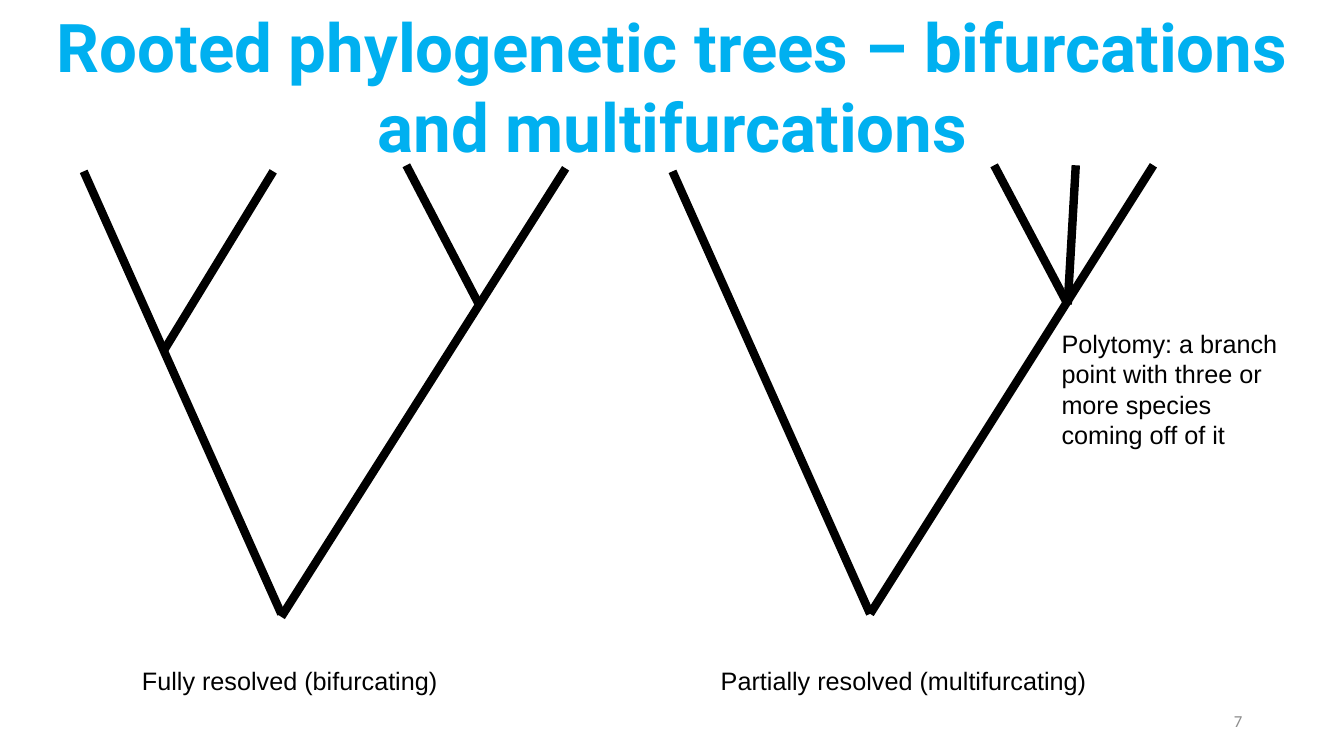
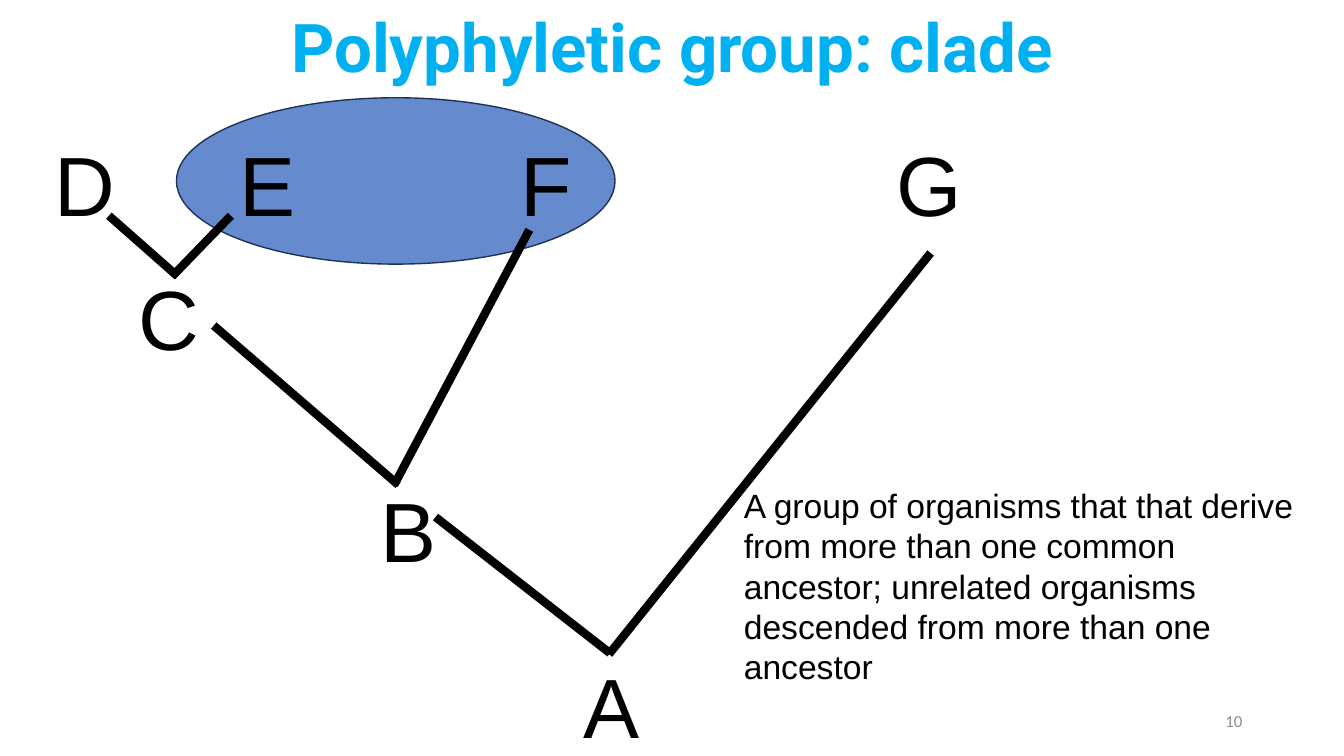
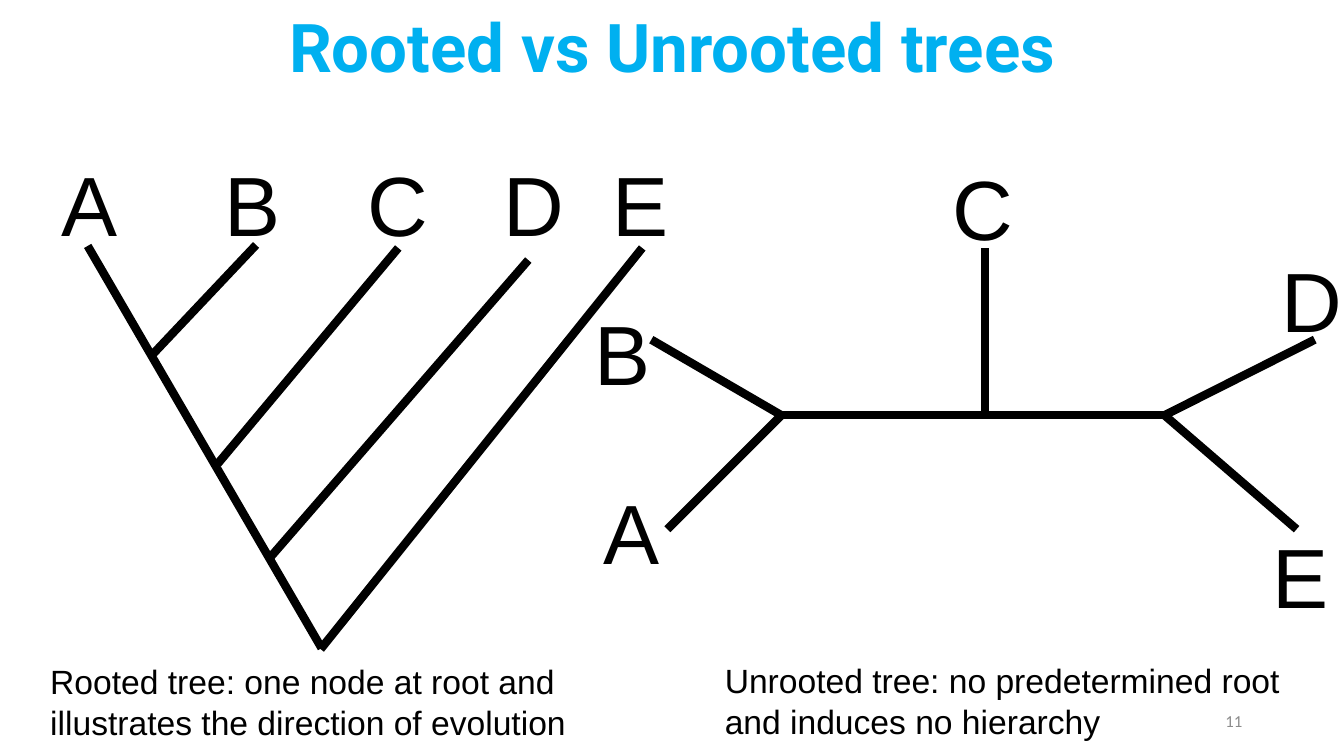
from dataclasses import dataclass
from typing import NamedTuple

from lxml.etree import SubElement
from pptx import Presentation
from pptx.dml.color import RGBColor as RGB
from pptx.enum.shapes import MSO_CONNECTOR as CONN, MSO_SHAPE as SHAPE
from pptx.enum.text import MSO_ANCHOR as ANCHOR, PP_ALIGN as ALIGN
from pptx.oxml.ns import qn
from pptx.util import Inches, Pt


@dataclass(frozen=True)
class Theme:
    title_color: RGB = RGB(0x00, 0xB0, 0xF0)
    ink: RGB = RGB(0, 0, 0)
    number_color: RGB = RGB(0x8C, 0x8C, 0x8C)
    group_fill: RGB = RGB(0x44, 0x72, 0xC4)
    group_line: RGB = RGB(0x1E, 0x32, 0x56)
    group_alpha: int = 82
    title_font: str = "Roboto"
    body_font: str = "Arial"
    number_font: str = "Calibri"
    title_size: int = 48
    letter_size: int = 60
    note_size: int = 24
    caption_size: int = 18
    number_size: int = 12
    branch_width: int = 6


class Branch(NamedTuple):
    x1: float
    y1: float
    x2: float
    y2: float


class Taxon(NamedTuple):
    name: str
    x: float
    y: float


class Note(NamedTuple):
    text: str
    x: float
    y: float
    w: float
    h: float
    size: int


THEME = Theme()


# Drawing helpers
def add_text(s, text: str, x: float, y: float, w: float, h: float, *,
             size: int = THEME.caption_size, font: str = THEME.body_font,
             color: RGB = THEME.ink, bold: bool = False,
             align: ALIGN = ALIGN.LEFT, anchor: ANCHOR = ANCHOR.TOP) -> None:
    tf = s.shapes.add_textbox(Inches(x), Inches(y), Inches(w), Inches(h)).text_frame
    tf.word_wrap = True
    tf.vertical_anchor = anchor
    p = tf.paragraphs[0]
    p.alignment = align
    r = p.add_run()
    r.text = text
    r.font.name, r.font.size, r.font.bold = font, Pt(size), bold
    r.font.color.rgb = color


def add_branch(s, b: Branch) -> None:
    line = s.shapes.add_connector(CONN.STRAIGHT, Inches(b.x1), Inches(b.y1),
                                  Inches(b.x2), Inches(b.y2))
    line.line.color.rgb = THEME.ink
    line.line.width = Pt(THEME.branch_width)
    SubElement(line._element.spPr, qn("a:effectLst"))


def add_group_ellipse(s, x: float, y: float, w: float, h: float) -> None:
    sp = s.shapes.add_shape(SHAPE.OVAL, Inches(x), Inches(y), Inches(w), Inches(h))
    sp.shadow.inherit = False
    sp.fill.solid()
    sp.fill.fore_color.rgb = THEME.group_fill
    color = sp._element.spPr.find(qn("a:solidFill"))[0]
    SubElement(color, qn("a:alpha")).set("val", str(THEME.group_alpha * 1000))
    sp.line.color.rgb = THEME.group_line
    sp.line.width = Pt(1)


def new_slide(prs, title: str, number: int, title_lines: int = 1):
    s = prs.slides.add_slide(prs.slide_layouts[6])
    add_text(s, str(number), 9.42, 6.95, 3, 0.4, size=THEME.number_size,
             font=THEME.number_font, color=THEME.number_color,
             align=ALIGN.RIGHT, anchor=ANCHOR.MIDDLE)
    add_text(s, title, 0.41, 0, 12.52, 0.1 + 0.81 * title_lines,
             size=THEME.title_size, font=THEME.title_font,
             color=THEME.title_color, bold=True, align=ALIGN.CENTER)
    return s


def add_tree(s, branches: list[Branch], taxa: list[Taxon], notes: list[Note]) -> None:
    for b in branches:
        add_branch(s, b)
    for t in taxa:
        add_text(s, t.name, t.x, t.y, 0.88, 1.11, size=THEME.letter_size)
    for n in notes:
        add_text(s, n.text, n.x, n.y, n.w, n.h, size=n.size)


# Slides
def bifurcations_slide(prs) -> None:
    s = new_slide(prs, "Rooted phylogenetic trees – bifurcations and multifurcations",
                  7, title_lines=2)
    resolved = [
        Branch(0.83, 1.7, 2.79, 6.09),
        Branch(4.03, 1.64, 4.75, 3.02),
        Branch(5.61, 1.67, 2.79, 6.12),
        Branch(2.71, 1.7, 1.63, 3.47),
    ]
    polytomy = (10.59, 3.02)
    partial = [
        Branch(11.44, 1.64, 8.63, 6.09),
        Branch(6.67, 1.7, 8.63, 6.09),
        *(Branch(x, 1.64, *polytomy) for x in (9.86, 10.67)),
    ]
    size = THEME.caption_size
    add_tree(s, partial + resolved, [], [
        Note("Fully resolved (bifurcating)", 1.31, 6.55, 3.2, 0.4, size),
        Note("Partially resolved (multifurcating)", 7.05, 6.55, 4.39, 0.4, size),
        Note("Polytomy: a branch point with three or more species coming off of it",
             10.43, 3.21, 2.49, 1.31, size),
    ])


def polyphyletic_slide(prs) -> None:
    s = new_slide(prs, "Polyphyletic group: clade", 10)
    add_group_ellipse(s, 1.75, 0.97, 4.35, 1.65)
    branches = [
        Branch(4.32, 5.13, 6.05, 6.48),
        Branch(9.23, 2.51, 6.04, 6.49),
        Branch(2.12, 3.23, 3.95, 4.81),
        Branch(1.08, 2.14, 1.76, 2.74),
        Branch(1.71, 2.74, 2.29, 2.14),
        Branch(5.25, 2.28, 3.91, 4.81),
    ]
    tips = [Taxon(name, x, 1.27)
            for name, x in zip("DEFG", (0.44, 2.28, 5.06, 8.79))]
    ancestors = [Taxon("A", 5.69, 6.44), Taxon("B", 3.68, 4.7), Taxon("C", 1.28, 2.59)]
    add_tree(s, branches, tips + ancestors, [
        Note("A group of organisms that that derive from more than one common ancestor; "
             "unrelated organisms descended from more than one ancestor",
             7.28, 4.76, 5.83, 2.12, THEME.note_size),
    ])


def rooted_slide(prs) -> None:
    s = new_slide(prs, "Rooted vs Unrooted trees", 11)
    rooted = [
        Branch(6.37, 2.46, 3.18, 6.44),
        Branch(0.87, 2.44, 3.19, 6.43),
        Branch(2.54, 2.43, 1.52, 3.51),
        Branch(3.95, 2.46, 2.16, 4.6),
        Branch(5.24, 2.58, 2.68, 5.53),
    ]
    left, right, axis = 7.75, 11.55, 4.12
    unrooted = [
        Branch(right, axis, 7.71, axis),
        Branch(9.77, 4.15, 9.77, 2.46),
        *(Branch(node, axis, x, y) for node, x, y in (
            (left, 6.62, 5.25), (left, 6.46, 3.37),
            (right, 12.86, 5.25), (right, 13.04, 3.37))),
    ]
    rooted_taxa = [Taxon(name, x, 1.46)
                   for name, x in zip("ABCDE", (0.51, 2.13, 3.55, 4.9, 5.98))]
    unrooted_taxa = [
        Taxon("A", 5.89, 4.72), Taxon("B", 5.8, 2.94), Taxon("C", 9.35, 1.5),
        Taxon("D", 12.61, 2.42), Taxon("E", 12.52, 5.15),
    ]
    add_tree(s, rooted + unrooted, rooted_taxa + unrooted_taxa, [
        Note("Rooted tree: one node at root and illustrates the direction of evolution",
             0.4, 6.51, 5.83, 0.91, THEME.note_size),
        Note("Unrooted tree: no predetermined root and induces no hierarchy",
             7.09, 6.5, 5.83, 0.91, THEME.note_size),
    ])


def main() -> None:
    prs = Presentation()
    prs.slide_width, prs.slide_height = Inches(13.33), Inches(7.5)
    bifurcations_slide(prs)
    polyphyletic_slide(prs)
    rooted_slide(prs)
    prs.save("out.pptx")


if __name__ == "__main__":
    main()
